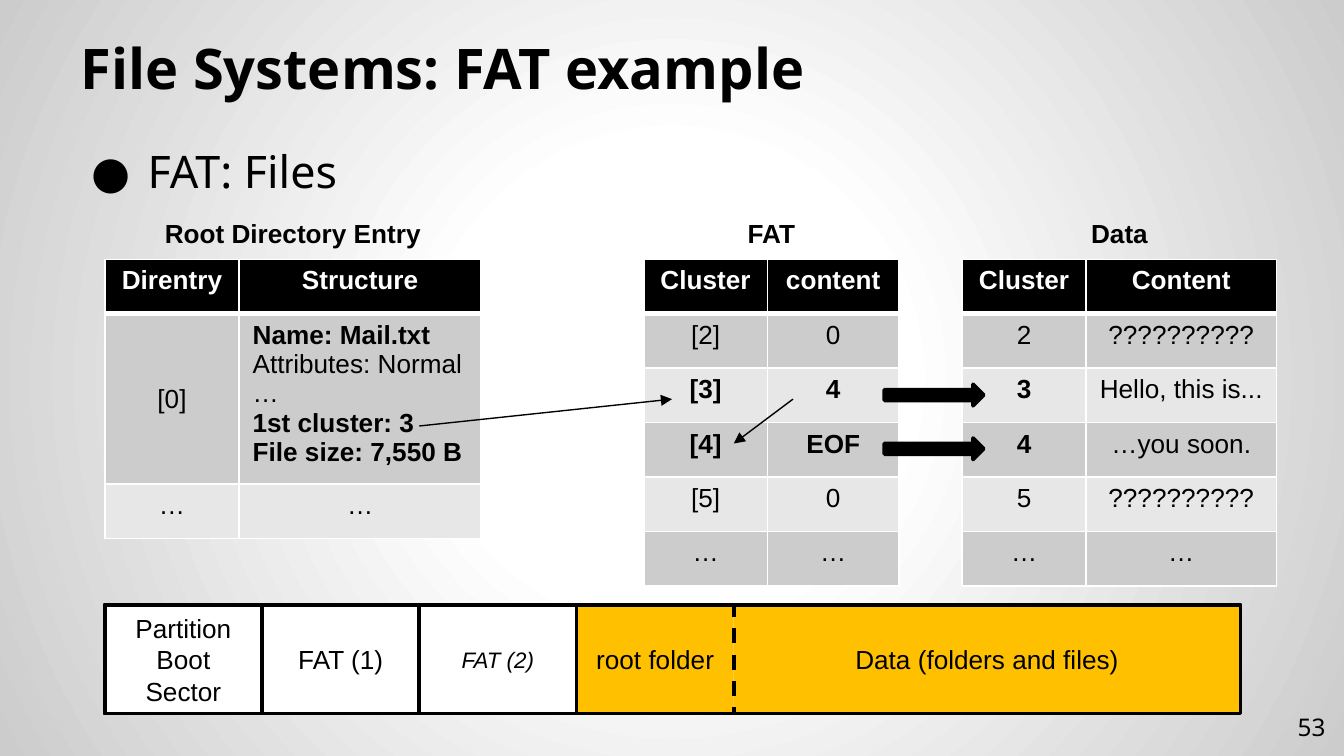
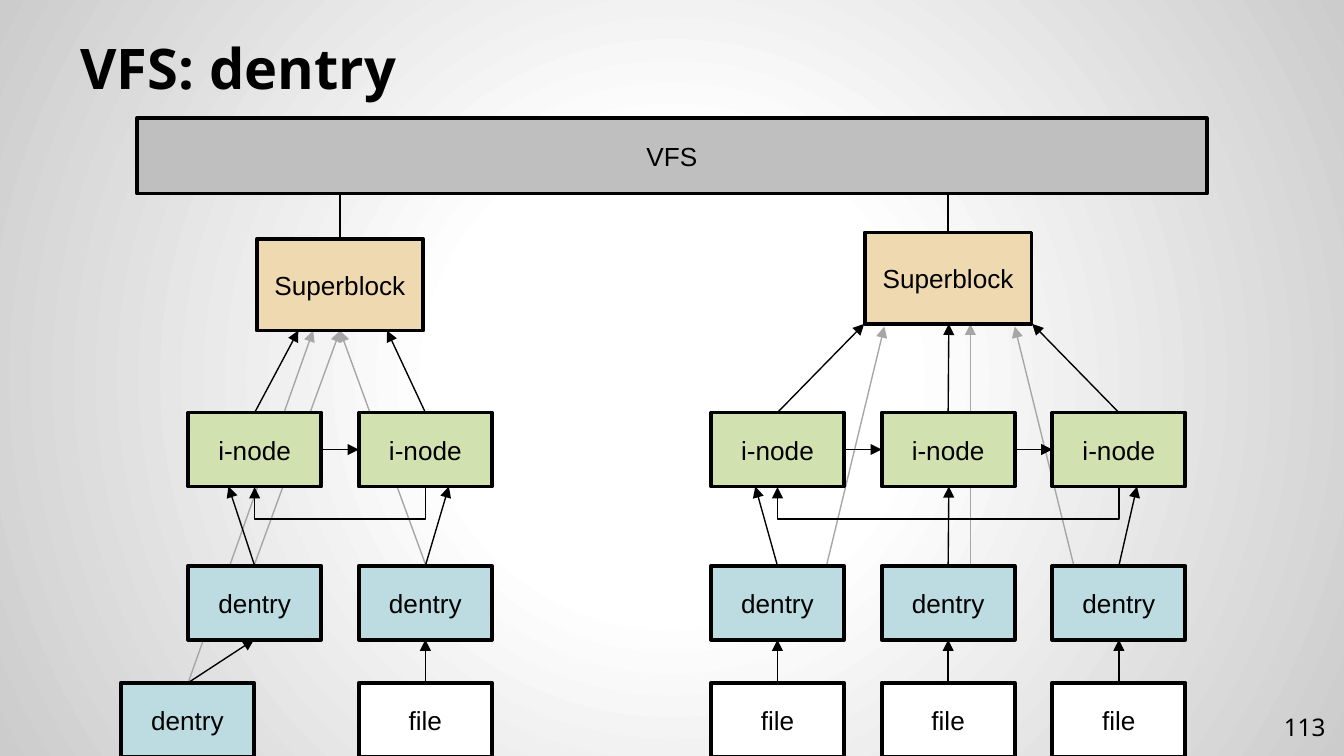
from lxml.etree import SubElement
from pptx import Presentation
from pptx.dml.color import RGBColor
from pptx.enum.dml import MSO_LINE
from pptx.enum.shapes import MSO_CONNECTOR, MSO_SHAPE
from pptx.enum.text import MSO_ANCHOR, PP_ALIGN
from pptx.oxml import parse_xml
from pptx.oxml.ns import nsdecls, qn
from pptx.util import Inches, Pt

COLORS = {
    "ink": "000000", "paper": "FFFFFF", "edge": "CCCCCC",
    "band_dark": "CCCCCC", "band_light": "E7E7E7", "data": "FFC000",
    "vfs": "BFBFBF", "superblock": "EFD9B0", "inode": "D2E1B0",
    "dentry": "BCDCE1", "faint": "A6A6A6",
}
HEADING_FONT, LABEL_FONT = "Noto Sans", "Arial"
LISTING_H = 2.43
ROW_H = LISTING_H / 6
NODE_W, NODE_H, NODE_PITCH = 0.99, 0.55, 1.27
SUPER_W, SUPER_H = 1.24, 0.68
INODE_Y, DENTRY_Y, FILE_Y = 1.34, 2.48, 3.35
LOOP_DEPTH, LOOP_STEP = 0.25, 0.01


def rgb(name):
    """Return the named colour."""
    return RGBColor.from_string(COLORS[name])


def add_run(paragraph, text, size=14, font=LABEL_FONT, color="ink", bold=False, italic=False):
    """Append one formatted run."""
    run = paragraph.add_run()
    run.text = text
    run.font.size, run.font.name = Pt(size), font
    run.font.bold, run.font.italic = bold, italic
    run.font.color.rgb = rgb(color)


def set_frame(frame, anchor, inset=None):
    """Wrap the text, anchor it and set equal insets if given."""
    frame.word_wrap = True
    frame.vertical_anchor = anchor
    if inset is not None:
        frame.margin_left = frame.margin_right = Inches(inset)
        frame.margin_top = frame.margin_bottom = Inches(inset)


def add_text(slide, box, anchor=MSO_ANCHOR.TOP, align=PP_ALIGN.LEFT, inset=None):
    """Add a text box and return its first paragraph."""
    frame = slide.shapes.add_textbox(*map(Inches, box)).text_frame
    set_frame(frame, anchor, inset)
    frame.paragraphs[0].alignment = align
    return frame.paragraphs[0]


def add_block(shapes, box, text="", fill=None, outline=True, kind=MSO_SHAPE.RECTANGLE,
              **style):
    """Add an outlined block with a centred label."""
    block = shapes.add_shape(kind, *map(Inches, box))
    block.shadow.inherit = False
    if fill:
        block.fill.solid()
        block.fill.fore_color.rgb = rgb(fill)
    else:
        block.fill.background()
    if outline:
        block.line.color.rgb = rgb("ink")
        block.line.width = Pt(2)
    else:
        block.line.fill.background()
    if text:
        set_frame(block.text_frame, MSO_ANCHOR.MIDDLE)
        paragraph = block.text_frame.paragraphs[0]
        paragraph.alignment = PP_ALIGN.CENTER
        add_run(paragraph, text, **style)
    return block


def add_link(slide, start, end, color="ink", arrow=True, kind=MSO_CONNECTOR.STRAIGHT):
    """Connect two points, with an arrowhead at the end if wanted."""
    link = slide.shapes.add_connector(kind, *map(Inches, (*start, *end)))
    link.line.color.rgb = rgb(color)
    link.line.width = Pt(0.75)
    properties = link.element.spPr
    if arrow:
        SubElement(properties.find(qn("a:ln")), qn("a:tailEnd"), type="triangle")
    SubElement(properties, qn("a:effectLst"))
    return link


def add_loop(slide, start_x, end_x, y):
    """Draw an elbow arrow that leads back to the left below y."""
    center, half = (start_x + end_x) / 2, (start_x - end_x) / 2
    loop = add_link(slide, (center - LOOP_STEP / 2, y - half),
                    (center + LOOP_STEP / 2, y + half), kind=MSO_CONNECTOR.ELBOW)
    properties = loop.element.spPr
    properties.find(qn("a:xfrm")).set("rot", "5400000")
    guides = properties.find(qn("a:prstGeom")).find(qn("a:avLst"))
    bend = round(LOOP_DEPTH / LOOP_STEP * 100000)
    SubElement(guides, qn("a:gd"), name="adj1", fmla=f"val {bend}")


def set_background(master):
    """Give the master a round gradient from white to grey."""
    stops = "".join(
        f'<a:gs pos="{position}"><a:srgbClr val="{COLORS[color]}"/></a:gs>'
        for position, color in ((0, "paper"), (30000, "paper"), (100000, "edge")))
    content = master.element.find(qn("p:cSld"))
    for old in content.findall(qn("p:bg")):
        content.remove(old)
    content.insert(0, parse_xml(
        f'<p:bg {nsdecls("p", "a")}><p:bgPr><a:gradFill><a:gsLst>{stops}</a:gsLst>'
        '<a:path path="circle"><a:fillToRect l="50000" t="50000" r="50000" b="50000"/></a:path>'
        '</a:gradFill><a:effectLst/></p:bgPr></p:bg>'))


def add_titled_slide(deck, title, number):
    """Add a slide with its title and page number."""
    slide = deck.slides.add_slide(deck.slide_layouts[5])
    heading = slide.shapes.title
    heading.left, heading.top, heading.width, heading.height = map(Inches, (0.5, 0.23, 9, 0.62))
    set_frame(heading.text_frame, MSO_ANCHOR.BOTTOM, 0.1)
    paragraph = heading.text_frame.paragraphs[0]
    paragraph.alignment = PP_ALIGN.LEFT
    add_run(paragraph, title, 30, HEADING_FONT, bold=True)
    page = add_text(slide, (9.36, 5.19, 0.6, 0.43), MSO_ANCHOR.MIDDLE, PP_ALIGN.RIGHT, 0.1)
    add_run(page, number, 13, HEADING_FONT)
    return slide


def add_bullet(slide, box, text):
    """Add the bulleted topic of the slide."""
    paragraph = add_text(slide, box, inset=0.1)
    properties = paragraph._p.get_or_add_pPr()
    properties.set("marL", str(Inches(0.5)))
    properties.set("indent", str(Inches(-0.42)))
    color = SubElement(properties, qn("a:buClr"))
    SubElement(color, qn("a:srgbClr"), val=COLORS["ink"])
    SubElement(properties, qn("a:buFont"), typeface=HEADING_FONT)
    SubElement(properties, qn("a:buChar"), char="●")
    add_run(paragraph, text, 24, HEADING_FONT)


def style_cell(cell, fill, bottom_width):
    """Give a cell white borders and a plain fill."""
    properties = cell._tc.get_or_add_tcPr()
    for side, width in (("L", 1), ("R", 1), ("T", 1), ("B", bottom_width)):
        border = SubElement(properties, qn(f"a:ln{side}"), w=str(Pt(width)))
        SubElement(SubElement(border, qn("a:solidFill")), qn("a:srgbClr"), val=COLORS["paper"])
    cell.fill.solid()
    cell.fill.fore_color.rgb = rgb(fill)


def add_listing(slide, left, top, caption, widths, rows, bold_lines, height=LISTING_H):
    """Add a captioned banded table; cells with several lines are left-aligned."""
    width = sum(widths)
    label = add_text(slide, (left, top, width, 0.34), align=PP_ALIGN.CENTER)
    add_run(label, caption, bold=True)
    listing = slide.shapes.add_table(
        len(rows), len(widths), *map(Inches, (left, top + 0.36, width, height)))
    table = listing.table
    for column, column_width in zip(table.columns, widths):
        column.width = Inches(column_width)
    for index, row in enumerate(rows):
        table.rows[index].height = Inches(ROW_H)
        header = index == 0
        tall = any("\n" in text for text in row)
        fill = "ink" if header else ("band_light", "band_dark")[index % 2]
        for position, text in enumerate(row):
            cell = table.cell(index, position)
            style_cell(cell, fill, 3 if header else 1)
            lines = text.split("\n")
            if tall and len(lines) == 1:
                cell.vertical_anchor = MSO_ANCHOR.MIDDLE
            for number, line in enumerate(lines):
                frame = cell.text_frame
                paragraph = frame.add_paragraph() if number else frame.paragraphs[0]
                paragraph.alignment = PP_ALIGN.LEFT if len(lines) > 1 else PP_ALIGN.CENTER
                add_run(paragraph, line, color="paper" if header else "ink",
                        bold=header or line in bold_lines)
    listing.height = Inches(height)


def add_partition(slide, left, top, width, height):
    """Draw the partition layout as a strip of sectors."""
    strip = slide.shapes.add_group_shape().shapes
    sector = 1.17

    def sector_box(index):
        """Return the box of one sector."""
        return left + index * sector, top, sector, height

    data_left = left + 4 * sector
    add_block(strip, (data_left, top, left + width - data_left, height),
              "Data (folders and files)", "data", outline=False)
    add_block(strip, sector_box(0), "Partition Boot Sector", "paper")
    add_block(strip, sector_box(1), "FAT (1)", "paper")
    root_folder = add_block(strip, sector_box(3), "root folder", "data")
    root_folder.line.dash_style = MSO_LINE.DASH
    add_block(strip, (left, top, width, height))
    add_block(strip, sector_box(2), "FAT (2)", "paper", size=12, italic=True)


def build_fat_slide(deck):
    """Build the FAT example."""
    slide = add_titled_slide(deck, "File Systems: FAT example", "53")
    add_bullet(slide, (0.5, 0.97, 9, 4.41), "FAT: Files")
    add_partition(slide, 0.78, 4.5, 8.45, 0.81)
    add_listing(slide, 4.79, 1.57, "FAT", (0.92, 0.98), [
        ("Cluster", "content"), ("[2]", "0"), ("[3]", "4"), ("[4]", "EOF"),
        ("[5]", "0"), ("…", "…"),
    ], {"[3]", "4", "[4]", "EOF"})
    add_listing(slide, 7.16, 1.57, "Data", (0.92, 1.42), [
        ("Cluster", "Content"), ("2", "??????????"), ("3", "Hello, this is..."),
        ("4", "…you soon."), ("5", "??????????"), ("…", "…"),
    ], {"3", "4"})
    entry = "Name: Mail.txt\nAttributes: Normal\n…\n1st cluster: 3\nFile size: 7,550 B"
    add_listing(slide, 0.78, 1.57, "Root Directory Entry", (1, 1.8), [
        ("Direntry", "Structure"), ("[0]", entry), ("…", "…"),
    ], {"Name: Mail.txt", "1st cluster: 3", "File size: 7,550 B"}, height=2.08)
    add_link(slide, (5.9, 2.97), (5.46, 3.3))
    for top in (2.86, 3.26):
        add_block(slide.shapes, (6.58, top, 0.74, 0.16), fill="ink", kind=MSO_SHAPE.RIGHT_ARROW)
    add_link(slide, (3.12, 3.17), (5, 2.97))


def add_file_system(slide, left, top, drop, super_tips, inode_tips, file_columns, shortcuts):
    """Draw a superblock with its i-nodes, dentries and files."""
    count = len(super_tips)
    lefts = [left + index * NODE_PITCH for index in range(count)]
    middles = [x + NODE_W / 2 for x in lefts]
    center = (middles[0] + middles[-1]) / 2
    inode_top, dentry_top, file_top = top + INODE_Y, top + DENTRY_Y, top + FILE_Y
    super_top = top + drop
    super_bottom = super_top + SUPER_H

    for (start_x, start_y), (tip_x, tip_y) in shortcuts:
        add_link(slide, (left + start_x, top + start_y), (left + tip_x, top + tip_y), "faint")
    add_block(slide.shapes, (center - SUPER_W / 2, super_top, SUPER_W, SUPER_H),
              "Superblock", "superblock")
    add_link(slide, (center, super_top), (center, top - 0.29), arrow=False)
    for index, (x, middle) in enumerate(zip(lefts, middles)):
        add_block(slide.shapes, (x, inode_top, NODE_W, NODE_H), "i-node", "inode")
        add_block(slide.shapes, (x, dentry_top, NODE_W, NODE_H), "dentry", "dentry")
        add_link(slide, (middle, inode_top), (left + super_tips[index], super_bottom))
        add_link(slide, (middle, dentry_top), (left + inode_tips[index], inode_top + NODE_H))
        if index in file_columns:
            add_block(slide.shapes, (x, file_top, NODE_W, NODE_H), "file", "paper")
            add_link(slide, (middle, file_top), (middle, dentry_top + NODE_H))
    for x in lefts[1:]:
        y = inode_top + NODE_H / 2
        add_link(slide, (x - NODE_PITCH + NODE_W, y), (x, y))
    add_loop(slide, middles[-1], middles[0], inode_top + NODE_H)


def build_vfs_slide(deck):
    """Build the VFS overview with two file systems."""
    slide = add_titled_slide(deck, "VFS: dentry", "113")
    top = 1.73
    add_file_system(slide, 1.4, top, 0.05, (0.82, 1.48), (0.3, 1.94), {1}, [
        ((0, 3.35), (0.93, 0.73)), ((0.49, 2.48), (1.13, 0.73)), ((1.77, 2.48), (1.13, 0.73))])
    add_file_system(slide, 5.29, top, 0, (1.14, 1.77, 2.39), (0.33, 1.77, 3.17), {0, 1, 2}, [
        ((0.84, 2.56), (1.29, 0.7)), ((2.72, 2.56), (2.26, 0.7)), ((1.93, 2.65), (1.93, 0.68))])
    add_block(slide.shapes, (0.9, top + FILE_Y, NODE_W, NODE_H), "dentry", "dentry")
    add_link(slide, (1.4, top + FILE_Y), (1.89, top + DENTRY_Y + NODE_H))
    add_block(slide.shapes, (1.02, 0.88, 7.96, 0.56), "VFS", "vfs")


def main():
    """Create the deck."""
    deck = Presentation()
    deck.slide_width = Inches(10)
    deck.slide_height = Inches(10 * 9 / 16)
    set_background(deck.slide_master)
    build_fat_slide(deck)
    build_vfs_slide(deck)
    deck.save("out.pptx")


if __name__ == "__main__":
    main()
